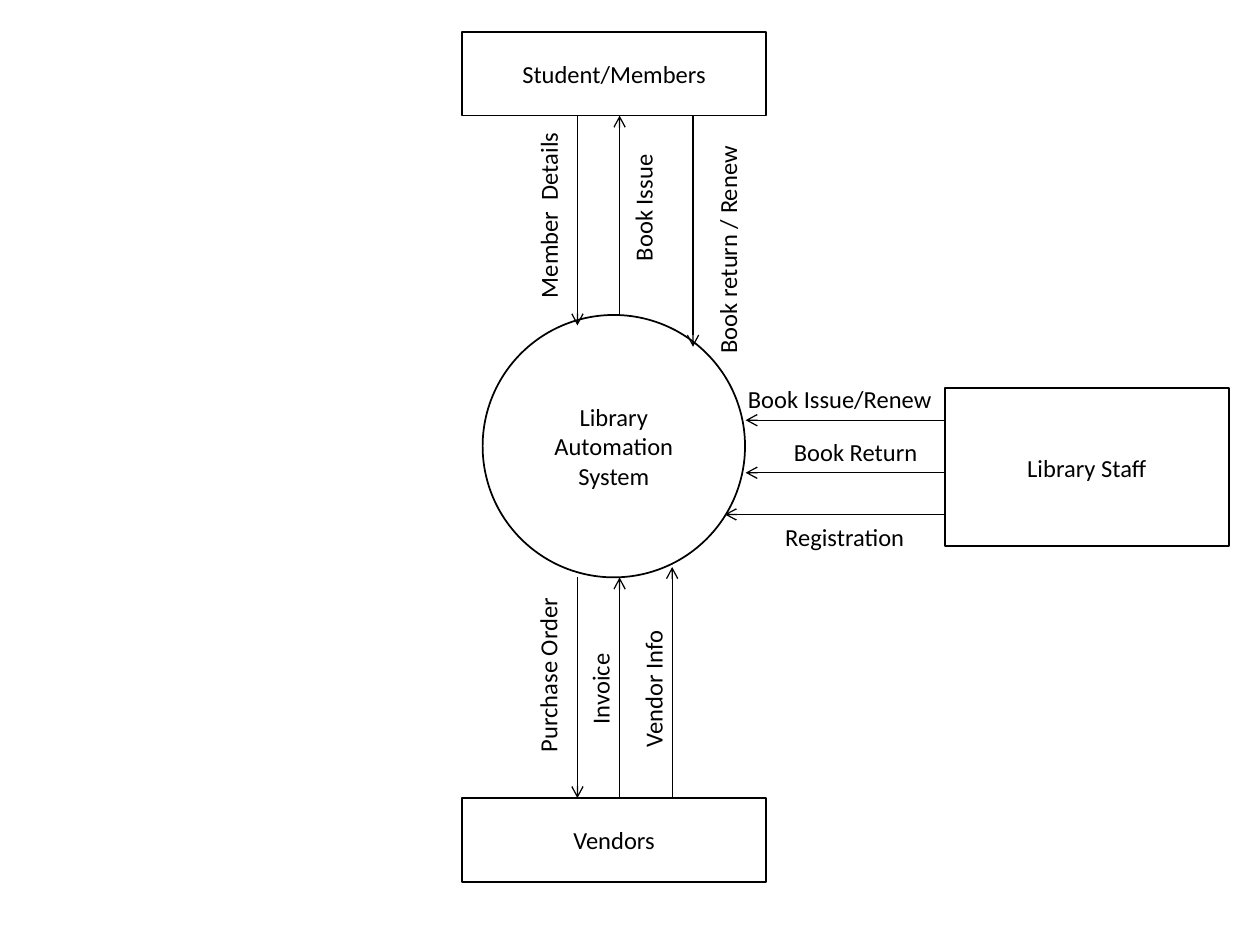
from lxml import etree
from pptx import Presentation
from pptx.dml.color import RGBColor
from pptx.enum.shapes import MSO_CONNECTOR, MSO_SHAPE
from pptx.enum.text import MSO_ANCHOR, PP_ALIGN
from pptx.oxml.ns import qn
from pptx.util import Cm, Pt

PROCESS = MSO_SHAPE.FLOWCHART_PROCESS
CIRCLE = MSO_SHAPE.FLOWCHART_CONNECTOR
STRAIGHT = MSO_CONNECTOR.STRAIGHT
CENTER, LEFT = PP_ALIGN.CENTER, PP_ALIGN.LEFT
MIDDLE = MSO_ANCHOR.MIDDLE

COLORS = {"ink": "000000", "paper": "FFFFFF"}
FONT = {"name": "Calibri", "size": Pt(14)}
LABEL_H = 0.86

# Boxes are left, top, width, height in cm
SYSTEM = (9.73, 6.35, 5.29, 5.29)
MEMBERS = (9.31, 0.64, 6.14, 1.69)
VENDORS = (9.31, 16.09, 6.14, 1.69)
STAFF = (19.05, 7.83, 5.72, 3.18)
MEMBER_GAP = (9.31, 2.33, 6.14, 4.02)
VENDOR_GAP = (9.31, 11.64, 6.14, 4.45)
STAFF_GAP = (15.03, 7.83, 4.02, 3.18)

# Text, lane, arrow start and end, label centre x and y, label width, alignment
MEMBER_FLOWS = [
    ("Member  Details", 2.33, 0, 4.23, 1.75, 2.01, 4.55, CENTER),
    ("Book Issue", 3.18, 4.02, 0, 3.66, 1.86, 4.65, CENTER),
    ("Book return / Renew", 4.66, 0, 4.66, 5.36, 2.29, 5.51, LEFT),
]
VENDOR_FLOWS = [
    ("Purchase Order", 2.33, 0, 4.45, 1.74, 1.97, 4.88, CENTER),
    ("Invoice", 3.18, 4.45, 0, 2.79, 2.25, 4.6, CENTER),
    ("Vendor Info", 4.24, 4.45, -0.21, 3.86, 2.25, 4.6, CENTER),
]
STAFF_FLOWS = [
    ("Book Issue/Renew", 0.64, 4.02, 0, 1.9, 0.22, 5.51, CENTER),
    ("Book Return", 1.7, 4.02, 0, 2.22, 1.29, 3.61, CENTER),
    ("Registration", 2.54, 4.02, -0.42, 2, 2.99, 3.53, CENTER),
]


def color(name):
    """Return the named colour."""
    return RGBColor.from_string(COLORS[name])


def write(tf, text, align):
    """Put one formatted line of text in a text frame."""
    tf.word_wrap = True
    p = tf.paragraphs[0]
    p.alignment = align
    r = p.add_run()
    r.text = text
    for key, value in FONT.items():
        setattr(r.font, key, value)
    r.font.color.rgb = color("ink")


def add_node(s, kind, box, text):
    """Draw an outlined entity or process filling the box."""
    sp = s.shapes.add_shape(kind, *map(Cm, box))
    sp.shadow.inherit = False
    sp.fill.solid()
    sp.fill.fore_color.rgb = color("paper")
    sp.line.color.rgb = color("ink")
    sp.line.width = Pt(1)
    sp.text_frame.vertical_anchor = MIDDLE
    write(sp.text_frame, text, CENTER)


def add_arrow(s, x1, y1, x2, y2):
    """Draw a thin line with an open arrowhead at its end."""
    line = s.shapes.add_connector(STRAIGHT, Cm(x1), Cm(y1), Cm(x2), Cm(y2))
    line.line.color.rgb = color("ink")
    line.line.width = Pt(0.75)
    etree.SubElement(line.line._get_or_add_ln(), qn("a:tailEnd"), type="arrow")
    etree.SubElement(line._element.spPr, qn("a:effectLst"))


def add_label(s, text, cx, cy, width, align, rotation):
    """Place a label by its centre."""
    sp = s.shapes.add_textbox(Cm(cx - width / 2), Cm(cy - LABEL_H / 2),
                              Cm(width), Cm(LABEL_H))
    sp.rotation = rotation
    write(sp.text_frame, text, align)


def add_flows(s, box, flows, vertical):
    """Draw labelled arrows relative to the box between two nodes."""
    left, top = box[:2]
    for text, lane, start, end, cx, cy, width, align in flows:
        if vertical:
            add_arrow(s, left + lane, top + start, left + lane, top + end)
        else:
            add_arrow(s, left + start, top + lane, left + end, top + lane)
        add_label(s, text, left + cx, top + cy, width, align,
                  270 if vertical else 0)


def build_context_diagram(prs):
    """Add the library context diagram slide."""
    s = prs.slides.add_slide(prs.slide_layouts[6])
    add_node(s, CIRCLE, SYSTEM, "Library Automation System")
    add_node(s, PROCESS, STAFF, "Library Staff")
    add_node(s, PROCESS, VENDORS, "Vendors")
    add_node(s, PROCESS, MEMBERS, "Student/Members")
    add_flows(s, VENDOR_GAP, VENDOR_FLOWS, vertical=True)
    add_flows(s, MEMBER_GAP, MEMBER_FLOWS, vertical=True)
    add_flows(s, STAFF_GAP, STAFF_FLOWS, vertical=False)


prs = Presentation()
prs.slide_width, prs.slide_height = Cm(25.4), Cm(19.05)
build_context_diagram(prs)
prs.save("out.pptx")
